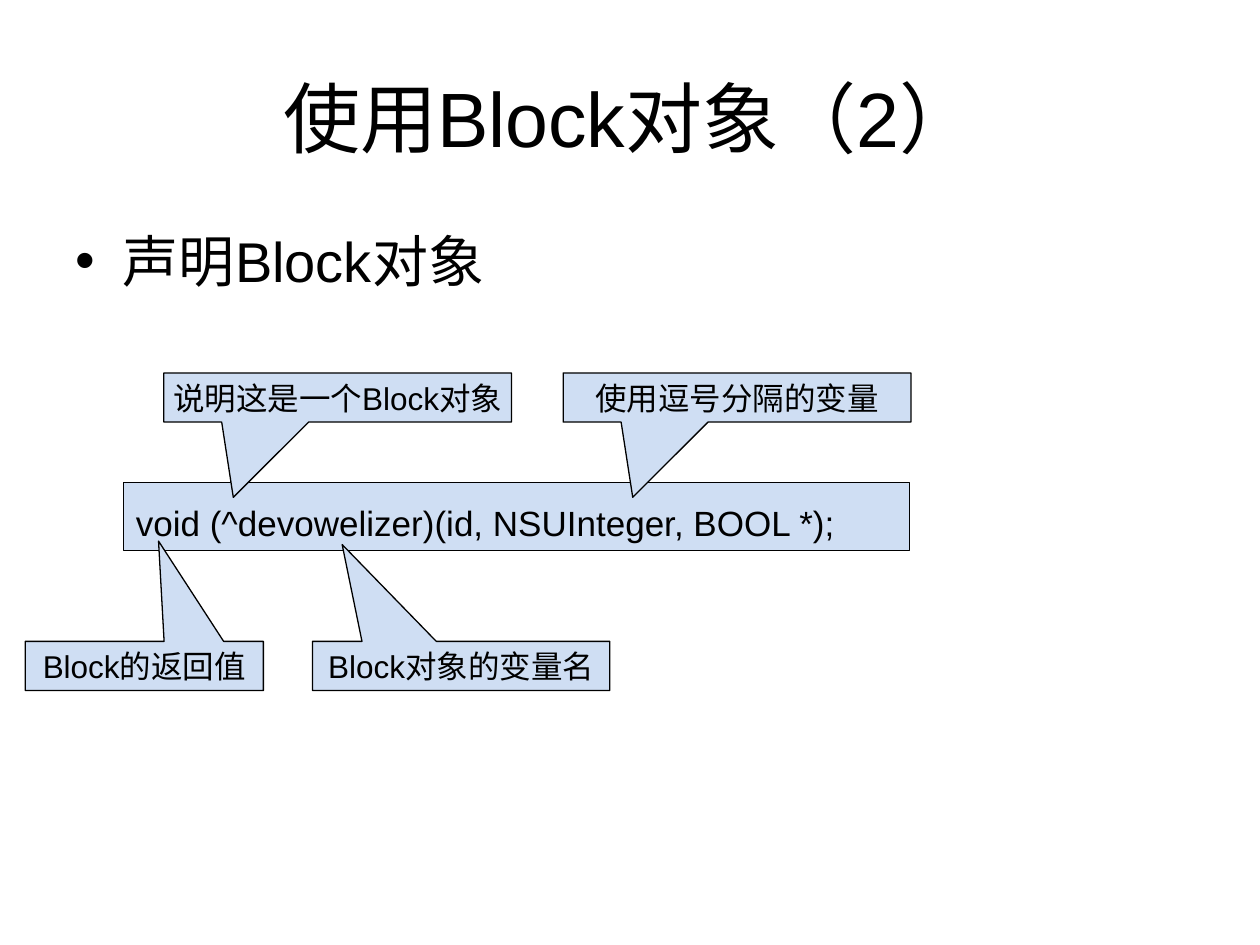
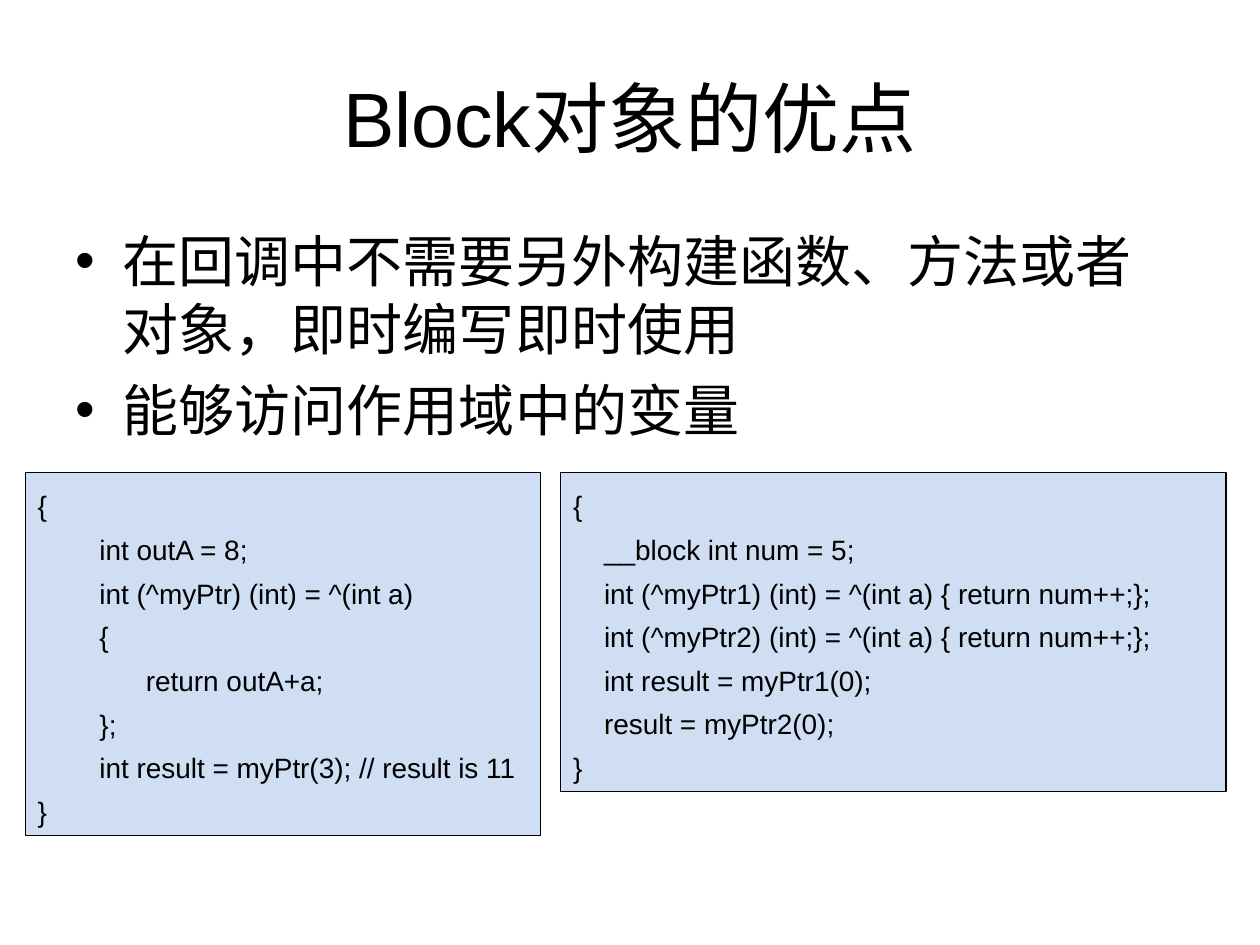
"""Build two slides on declaring Block objects and on their advantages."""
import pptx
import pptx.dml.color
import pptx.enum.shapes
import pptx.enum.text
import pptx.util

PX = 9144
BLACK = pptx.dml.color.RGBColor(0x00, 0x00, 0x00)
PALE_BLUE = pptx.dml.color.RGBColor(0xCF, 0xDE, 0xF3)
SHAPE = pptx.enum.shapes.MSO_SHAPE
ALIGN = pptx.enum.text.PP_ALIGN
ANCHOR = pptx.enum.text.MSO_ANCHOR
AUTO_SIZE = pptx.enum.text.MSO_AUTO_SIZE

TITLE = {
    "frame": {"vertical_anchor": ANCHOR.MIDDLE, "auto_size": AUTO_SIZE.NONE, "word_wrap": True},
    "paragraph": {"alignment": ALIGN.CENTER},
    "size": 44,
}
BODY = {
    "frame": {"vertical_anchor": ANCHOR.TOP, "auto_size": AUTO_SIZE.NONE, "word_wrap": True},
    "paragraph": {"alignment": ALIGN.LEFT, "space_before": pptx.util.Pt(8)},
    "size": 32,
}
CALLOUT = {
    "frame": {"vertical_anchor": ANCHOR.MIDDLE, "word_wrap": False},
    "paragraph": {"alignment": ALIGN.CENTER},
    "size": 18,
}
CODE = {
    "frame": {"vertical_anchor": ANCHOR.TOP, "word_wrap": True,
              "auto_size": AUTO_SIZE.SHAPE_TO_FIT_TEXT},
    "paragraph": {"alignment": ALIGN.LEFT, "line_spacing": 1.3},
    "size": 16,
}
DECLARATION = {**CODE, "size": 20}


def write(shape, box, text, style):
    """Place a shape and fill it with one styled paragraph per line of text."""
    for side, length in zip(("left", "top", "width", "height"), box):
        setattr(shape, side, length * PX)
    frame = shape.text_frame
    frame.text = text
    for name, value in style["frame"].items():
        setattr(frame, name, value)
    for paragraph in frame.paragraphs:
        for name, value in style["paragraph"].items():
            setattr(paragraph, name, value)
        for run in paragraph.runs:
            run.font.name = "Arial"
            run.font.size = pptx.util.Pt(style["size"])
            run.font.color.rgb = BLACK
    frame.paragraphs[0].space_before = pptx.util.Pt(0)


def add_panel(slide, preset, box, text, style):
    """Add a pale blue, black-edged shape with text."""
    shape = slide.shapes.add_shape(preset, 0, 0, PX, PX)
    shape.shadow.inherit = False
    shape.fill.solid()
    shape.fill.fore_color.rgb = PALE_BLUE
    shape.line.color.rgb = BLACK
    shape.line.width = pptx.util.Pt(0.75)
    write(shape, box, text, style)
    return shape


presentation = pptx.Presentation()
presentation.slide_width = 1000 * PX
presentation.slide_height = 750 * PX

slides = []
for title, bullets in (
    ("使用Block对象（2）", "声明Block对象"),
    ("Block对象的优点",
     "在回调中不需要另外构建函数、方法或者对象，即时编写即时使用\n能够访问作用域中的变量"),
):
    slide = presentation.slides.add_slide(presentation.slide_layouts[1])
    write(slide.shapes.title, (50, 30, 900, 125), title, TITLE)
    write(slide.placeholders[1], (50, 175, 900, 495), bullets, BODY)
    slides.append(slide)
declaration_slide, advantages_slide = slides

add_panel(declaration_slide, SHAPE.RECTANGLE, (98, 383, 624, 54),
          "void (^devowelizer)(id, NSUInteger, BOOL *);", DECLARATION)

for left, top, width, text, tip in (
    (20, 509, 189, "Block的返回值", (0.06, -2.54)),
    (130, 296, 276, "说明这是一个Block对象", (-0.3, 2.03)),
    (248, 509, 236, "Block对象的变量名", (-0.4, -2.47)),
    (447, 296, 276, "使用逗号分隔的变量", (-0.3, 2.03)),
):
    callout = add_panel(declaration_slide, SHAPE.RECTANGULAR_CALLOUT,
                        (left, top, width, 39), text, CALLOUT)
    callout.adjustments[0], callout.adjustments[1] = tip

CAPTURE_CODE = """{
        int outA = 8;
        int (^myPtr) (int) = ^(int a)
        {
              return outA+a;
        };
        int result = myPtr(3); // result is 11
}"""
SHARED_VARIABLE_CODE = """{
    __block int num = 5;
    int (^myPtr1) (int) = ^(int a) { return num++;};
    int (^myPtr2) (int) = ^(int a) { return num++;};
    int result = myPtr1(0);
    result = myPtr2(0);
}"""
for box, code in (
    ((20, 375, 409, 288), CAPTURE_CODE),
    ((445, 375, 528, 253), SHARED_VARIABLE_CODE),
):
    add_panel(advantages_slide, SHAPE.RECTANGLE, box, code, CODE)

presentation.save("out.pptx")
